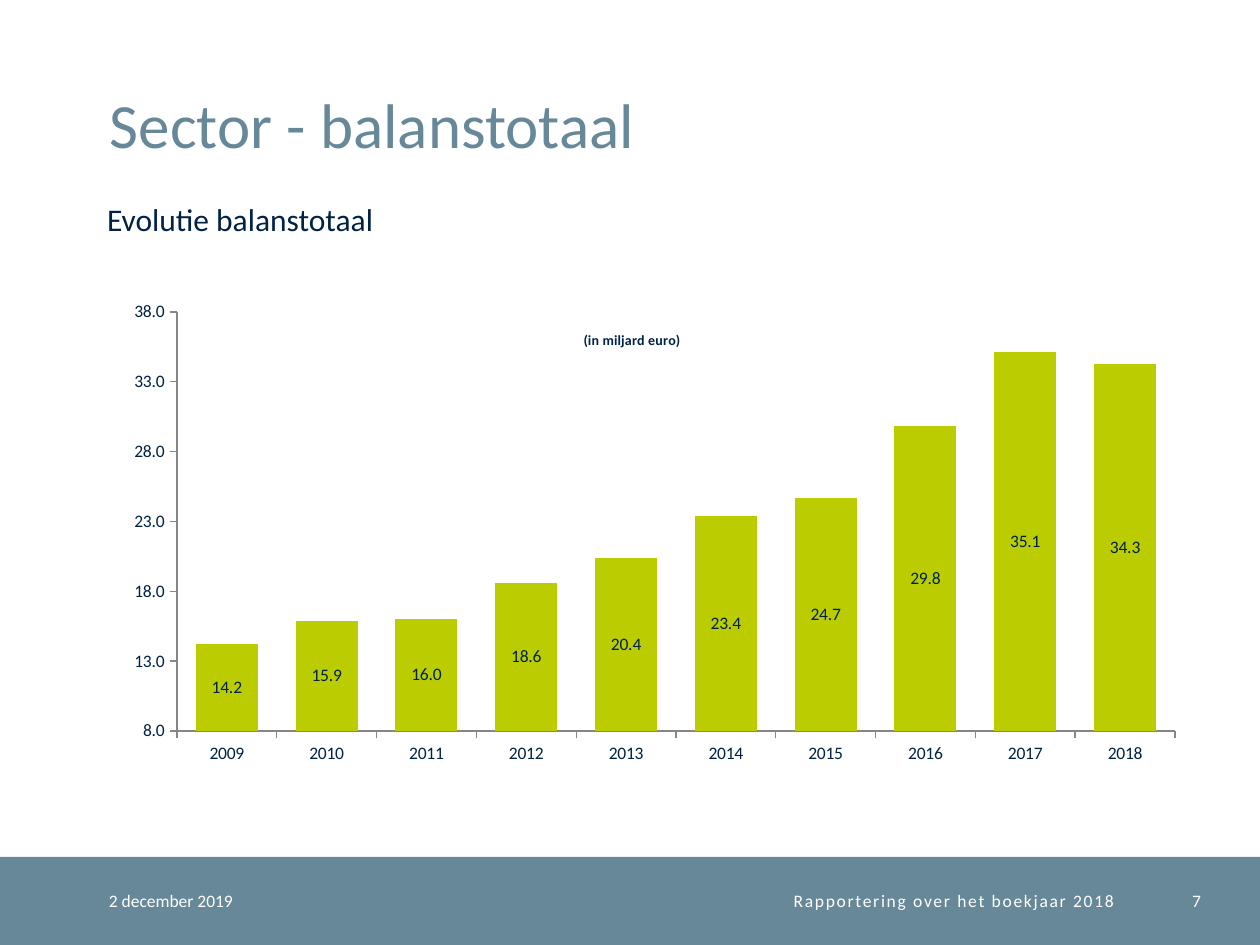
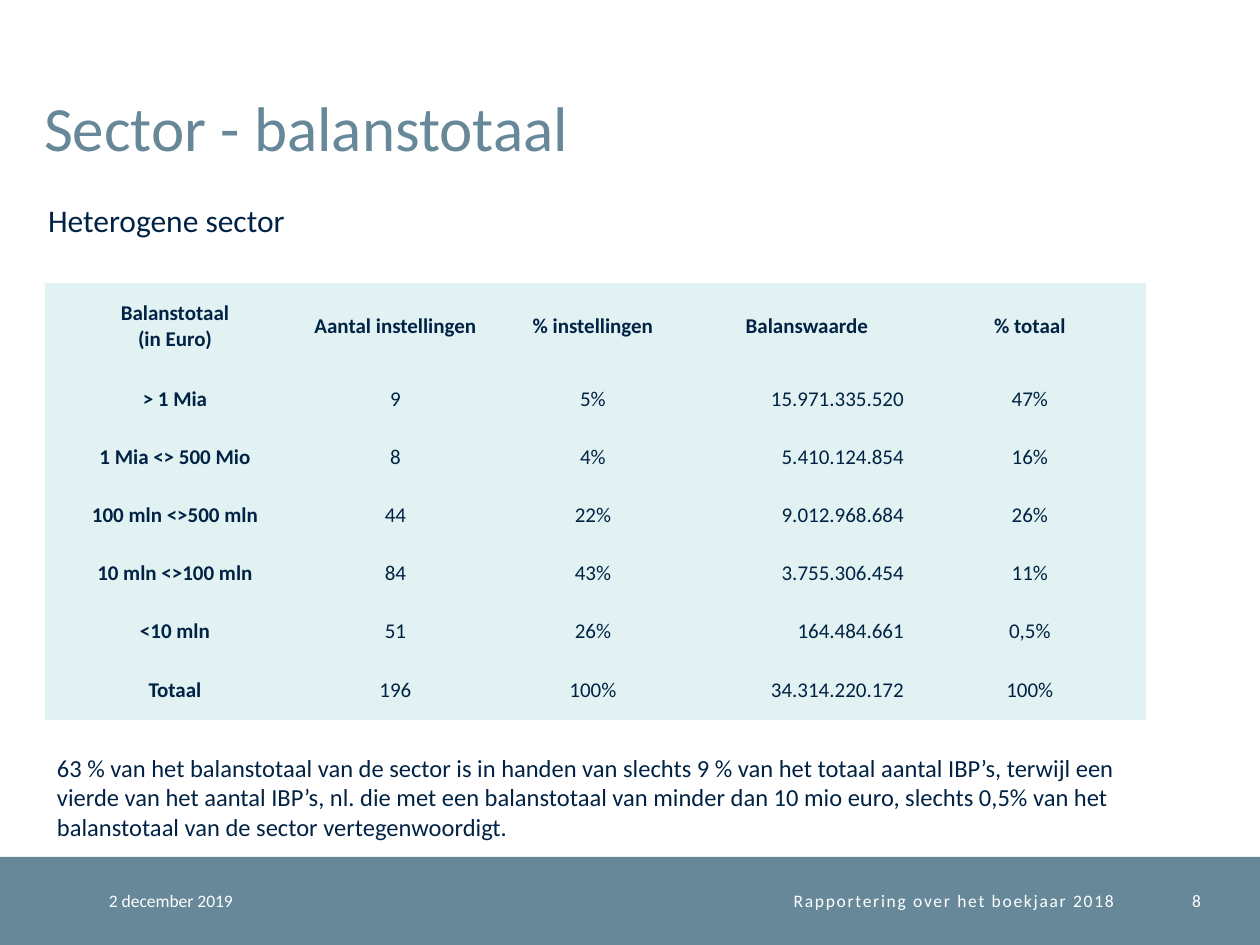
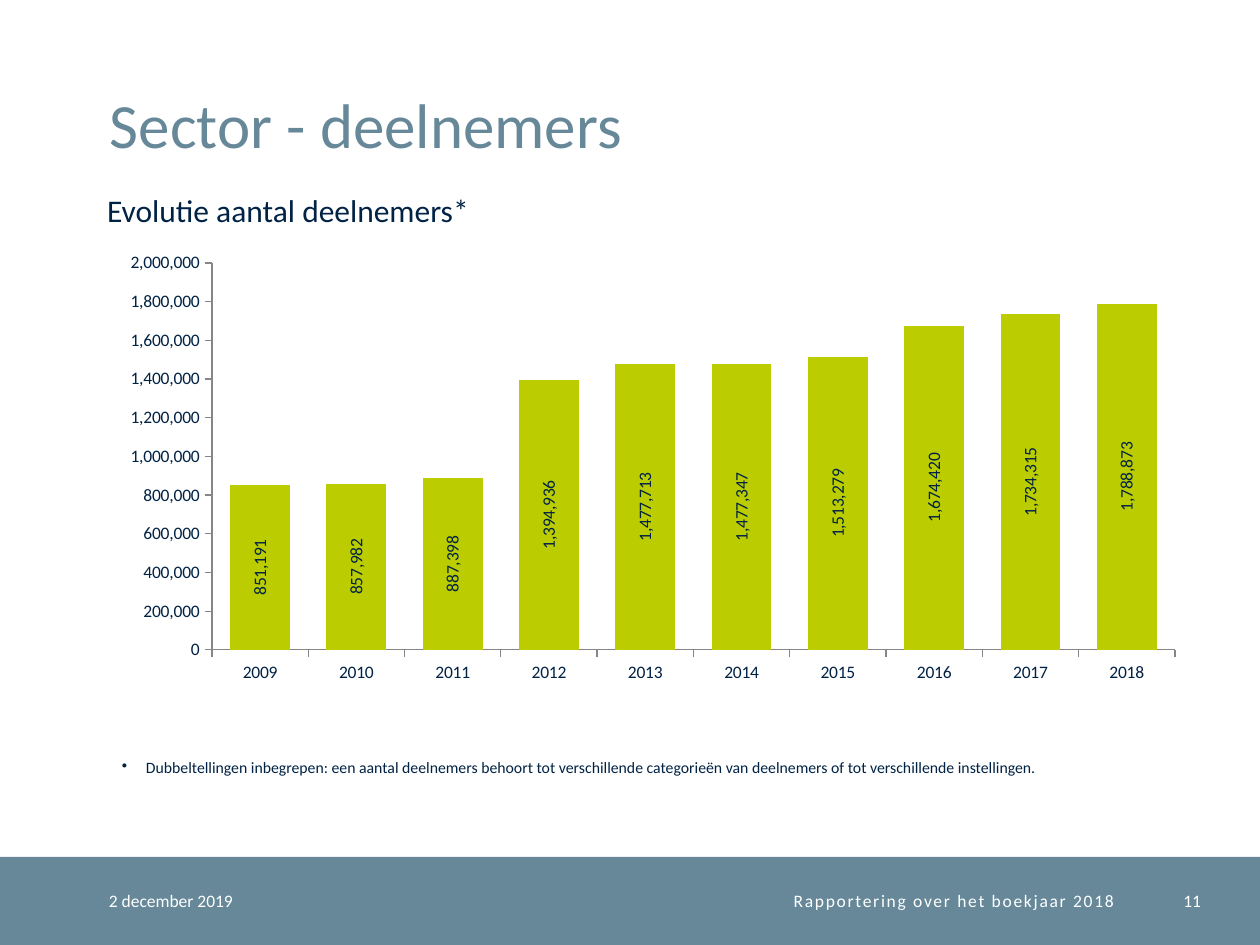
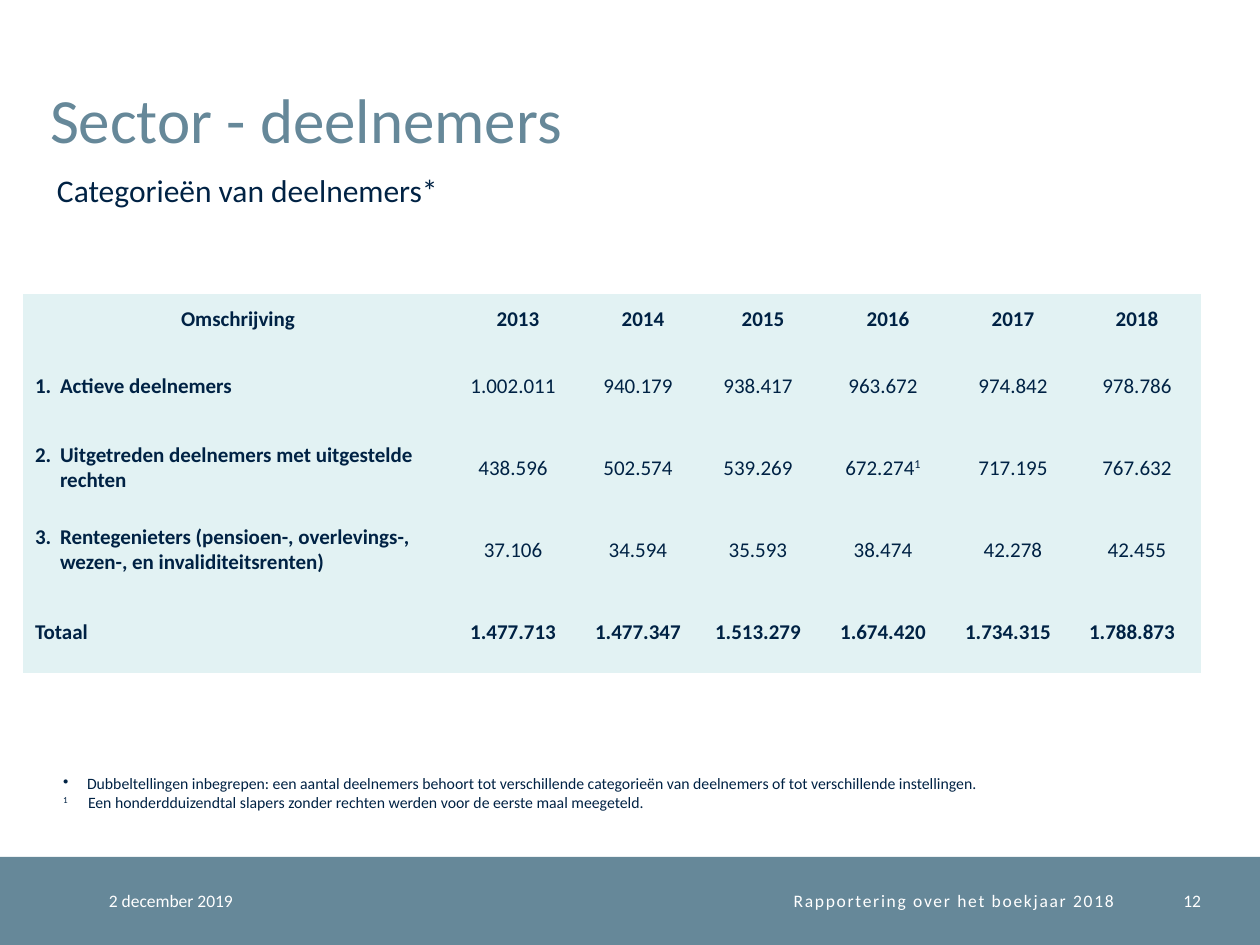
from lxml import etree
from pptx import Presentation
from pptx.chart.data import CategoryChartData
from pptx.dml.color import RGBColor
from pptx.enum.chart import XL_CHART_TYPE, XL_LABEL_POSITION, XL_TICK_MARK
from pptx.enum.shapes import MSO_SHAPE
from pptx.enum.text import MSO_ANCHOR, PP_ALIGN
from pptx.oxml.ns import qn
from pptx.util import Emu, Pt

LEFT, CENTER, RIGHT = PP_ALIGN.LEFT, PP_ALIGN.CENTER, PP_ALIGN.RIGHT
TOP, MIDDLE, BOTTOM = MSO_ANCHOR.TOP, MSO_ANCHOR.MIDDLE, MSO_ANCHOR.BOTTOM
STACKED = XL_CHART_TYPE.COLUMN_STACKED
LABEL_CENTER = XL_LABEL_POSITION.CENTER
TICK_OUT, TICK_NONE = XL_TICK_MARK.OUTSIDE, XL_TICK_MARK.NONE

FONT = "Calibri"
PX = 914400 / 126
NO_GRID_STYLE = "{2D5ABB26-0587-4C30-8999-92F81FD0307C}"
COLORS = {name: RGBColor.from_string(value) for name, value in {
    "band": "668899", "ink": "002244", "bar": "BBCC00",
    "cell": "E2F2F3", "axis": "868686", "white": "FFFFFF",
}.items()}


def write(paragraph, text, size, color="ink", bold=False, align=LEFT, indent=None, bullet=None):
    """Fill one paragraph; ¹ becomes a superscript 1."""
    paragraph.alignment = align
    properties = paragraph._p.get_or_add_pPr()
    if indent:
        margin, hanging = indent
        properties.set("marL", str(round(margin * PX)))
        properties.set("indent", str(round(-hanging * PX)))
    if bullet:
        etree.SubElement(properties, qn("a:buChar")).set("char", bullet)
    font = paragraph.font
    font.name, font.size, font.bold = FONT, Pt(size), bold
    font.color.rgb = COLORS[color]
    for part in filter(None, text.partition("¹")):
        run = paragraph.add_run()
        run.text = part.replace("¹", "1")
        if part == "¹":
            run._r.get_or_add_rPr().set("baseline", "30000")


def add_text(slide, box, text, size, color="ink", align=LEFT, anchor=TOP, inset=(13, 6), **style):
    """Add a text box and return its paragraph."""
    frame = slide.shapes.add_textbox(*[Emu(round(v * PX)) for v in box]).text_frame
    frame.word_wrap = True
    frame.vertical_anchor = anchor
    frame.margin_left = frame.margin_right = Emu(round(inset[0] * PX))
    frame.margin_top = frame.margin_bottom = Emu(round(inset[1] * PX))
    paragraph = frame.paragraphs[0]
    write(paragraph, text, size, color, align=align, **style)
    return paragraph


prs = Presentation()
prs.slide_width, prs.slide_height = Emu(round(1260 * PX)), Emu(round(945 * PX))

# Shared frame: title, subtitle and footer band
headings = [
    ("Sector - balanstotaal", (110, 25), "Evolutie balanstotaal", (94, 194), 7),
    ("Sector - balanstotaal", (44, 28), "Heterogene sector", (35, 195), 8),
    ("Sector - deelnemers", (110, 25), "Evolutie aantal deelnemers*", (94, 185), 11),
    ("Sector - deelnemers", (50, 20), "Categorieën van deelnemers*", (44, 165), 12),
]
slides = []
for title, title_at, subtitle, subtitle_at, number in headings:
    slide = prs.slides.add_slide(prs.slide_layouts[6])
    slides.append(slide)
    band = slide.shapes.add_shape(MSO_SHAPE.RECTANGLE, 0, Emu(round(857 * PX)),
                                  prs.slide_width, Emu(round(88 * PX)))
    band.shadow.inherit = False
    band.fill.solid()
    band.fill.fore_color.rgb = COLORS["band"]
    band.line.fill.background()

    heading = add_text(slide, (*title_at, 1087, 136), title, 36, "band", anchor=BOTTOM, inset=(0, 0))
    heading.line_spacing = Pt(32)
    add_text(slide, (*subtitle_at, 1000, 50), subtitle, 18)

    for left, width, text, align in [
        (109, 223, "2 december 2019", LEFT),
        (333, 781, "Rapportering over het boekjaar 2018", RIGHT),
        (1139, 62, str(number), RIGHT),
    ]:
        footer = add_text(slide, (left, 857, width, 88), text, 10, "white", align, MIDDLE, (0, 0))
        if text.startswith("Rapportering"):
            footer.runs[0]._r.get_or_add_rPr().set("spc", "100")

# Column charts: slide, frame, plot area, values, axis range and step, format, label turn, caption
years = [str(year) for year in range(2009, 2019)]
totals = [14.2, 15.9, 16.0, 18.6, 20.4, 23.4, 24.7, 29.8, 35.1, 34.3]
members = [851191, 857982, 887398, 1394936, 1477713, 1477347, 1513279, 1674420, 1734315, 1788873]
evolutions = [
    (slides[0], (110, 244, 1087, 529), (177, 312, 998, 419), totals,
     (8, 38, 5), "#,##0.0", 0, "(in miljard euro)"),
    (slides[2], (110, 244, 1087, 446), (212, 263, 963, 387), members,
     (0, 2000000, 200000), "#,##0", -90, None),
]
for slide, frame, plot_box, values, (low, high, step), number_format, turn, caption in evolutions:
    data = CategoryChartData(number_format=number_format)
    data.categories = years
    data.add_series("Series 1", values)
    chart = slide.shapes.add_chart(STACKED, *[Emu(round(v * PX)) for v in frame], data).chart
    chart.has_legend = False
    chart.font.name, chart.font.size = FONT, Pt(10)
    chart.font.color.rgb = COLORS["ink"]

    plot = chart.plots[0]
    plot.gap_width, plot.overlap = 61, 100
    plot.vary_by_categories = False
    bars = plot.series[0].format.fill
    bars.solid()
    bars.fore_color.rgb = COLORS["bar"]
    plot.has_data_labels = True
    labels = plot.data_labels
    labels.show_value = True
    labels.position = LABEL_CENTER
    labels.number_format, labels.number_format_is_linked = number_format, False
    labels.font.name, labels.font.size = FONT, Pt(10)
    labels.font.color.rgb = COLORS["ink"]
    if turn:
        labels._element.find(qn("c:txPr")).find(qn("a:bodyPr")).set("rot", str(turn * 60000))

    for axis in (chart.category_axis, chart.value_axis):
        axis.has_major_gridlines = False
        axis.major_tick_mark, axis.minor_tick_mark = TICK_OUT, TICK_NONE
        axis.format.line.color.rgb = COLORS["axis"]
        axis.format.line.width = Pt(0.75)
    scale = chart.value_axis
    scale.minimum_scale, scale.maximum_scale, scale.major_unit = low, high, step
    scale.tick_labels.number_format = number_format
    scale.tick_labels.number_format_is_linked = False

    # Fixed places of the plot area and the caption, as shares of the frame
    placements = [(chart._chartSpace.chart.plotArea, 0, plot_box)]
    chart.has_title = caption is not None
    if caption:
        write(chart.chart_title.text_frame.paragraphs[0], caption, 8, bold=True, align=CENTER)
        placements.append((chart.chart_title._element, 1, (581, 328)))
    for part, position, box in placements:
        for old in part.findall(qn("c:layout")):
            part.remove(old)
        layout = etree.Element(qn("c:layout"))
        part.insert(position, layout)
        manual = etree.SubElement(layout, qn("c:manualLayout"))
        settings = [("xMode", "edge"), ("yMode", "edge"),
                    ("x", (box[0] - frame[0]) / frame[2]), ("y", (box[1] - frame[1]) / frame[3])]
        if len(box) == 4:
            settings = [("layoutTarget", "inner"), *settings,
                        ("w", box[2] / frame[2]), ("h", box[3] / frame[3])]
        for tag, value in settings:
            etree.SubElement(manual, qn("c:" + tag)).set("val", str(value))

# Tables: slide, position, column widths, row heights, rows
size_classes = [
    ["Balanstotaal\n(in Euro)", "Aantal instellingen", "% instellingen", "Balanswaarde", "% totaal"],
    ["> 1 Mia", "9", "5%", "15.971.335.520", "47%"],
    ["1 Mia <> 500 Mio", "8", "4%", "5.410.124.854", "16%"],
    ["100 mln <>500 mln", "44", "22%", "9.012.968.684", "26%"],
    ["10 mln <>100 mln", "84", "43%", "3.755.306.454", "11%"],
    ["<10 mln", "51", "26%", "164.484.661", "0,5%"],
    ["Totaal", "196", "100%", "34.314.220.172", "100%"],
]
categories = [
    ["Omschrijving", "2013", "2014", "2015", "2016", "2017", "2018"],
    ["1.\tActieve deelnemers",
     "1.002.011", "940.179", "938.417", "963.672", "974.842", "978.786"],
    ["2.\tUitgetreden deelnemers met uitgestelde rechten",
     "438.596", "502.574", "539.269", "672.274¹", "717.195", "767.632"],
    ["3.\tRentegenieters (pensioen-, overlevings-, wezen-, en invaliditeitsrenten)",
     "37.106", "34.594", "35.593", "38.474", "42.278", "42.455"],
    ["Totaal", "1.477.713", "1.477.347", "1.513.279", "1.674.420", "1.734.315", "1.788.873"],
]
overviews = [
    (slides[1], (45, 283), [260, 181, 214, 214, 232], [87] + [58] * 5 + [60], size_classes),
    (slides[3], (23, 294), [430, 130, 120, 120, 130, 120, 128], [51] + [82] * 4, categories),
]
for slide, (left, top), widths, heights, rows in overviews:
    box = (left, top, sum(widths), sum(heights))
    table = slide.shapes.add_table(len(rows), len(widths), *[Emu(round(v * PX)) for v in box]).table
    table.first_row = table.horz_banding = False
    table._tbl.tblPr.find(qn("a:tableStyleId")).text = NO_GRID_STYLE
    for column, width in zip(table.columns, widths):
        column.width = Emu(round(width * PX))
    for row, height in zip(table.rows, heights):
        row.height = Emu(round(height * PX))

    for r, row in enumerate(rows):
        for c, text in enumerate(row):
            total = rows is categories and r == len(rows) - 1
            description = rows is categories and c == 0 and r > 0
            amount = rows is size_classes and c == 3 and r > 0
            shifted = rows is categories and r > 0 and (1 <= c <= 4 or total)
            cell = table.cell(r, c)
            cell.fill.solid()
            cell.fill.fore_color.rgb = COLORS["cell"]
            cell.vertical_anchor = MIDDLE
            cell.margin_left = cell.margin_top = cell.margin_bottom = 0
            cell.margin_right = Emu(round(10 * PX)) if amount or shifted else 0
            align = LEFT if description else RIGHT if amount else CENTER
            for i, line in enumerate(text.split("\n")):
                frame = cell.text_frame
                paragraph = frame.add_paragraph() if i else frame.paragraphs[0]
                write(paragraph, line, 12, bold=r == 0 or c == 0 or total, align=align,
                      indent=(37, 25) if description else None)

# Remarks below the tables and charts
add_text(slides[1], (44, 747, 1111, 102),
         "63 % van het balanstotaal van de sector is in handen van slechts 9 % van het totaal aantal "
         "IBP’s, terwijl een vierde van het aantal IBP’s, nl. die met een balanstotaal van minder dan "
         "10 mio euro, slechts 0,5% van het balanstotaal van de sector vertegenwoordigt.", 14)
double_count = ("Dubbeltellingen inbegrepen: een aantal deelnemers behoort tot verschillende "
                "categorieën van deelnemers of tot verschillende instellingen.")
for slide, box in [(slides[2], (109, 752, 968, 32)), (slides[3], (50, 768, 1181, 50))]:
    footnote = add_text(slide, box, double_count, 9, indent=(24, 24), bullet="•")
newcomers = footnote._parent.add_paragraph()
write(newcomers, "¹\tEen honderdduizendtal slapers zonder rechten werden voor de eerste maal meegeteld.",
      9, indent=(25, 25))

prs.save("out.pptx")
